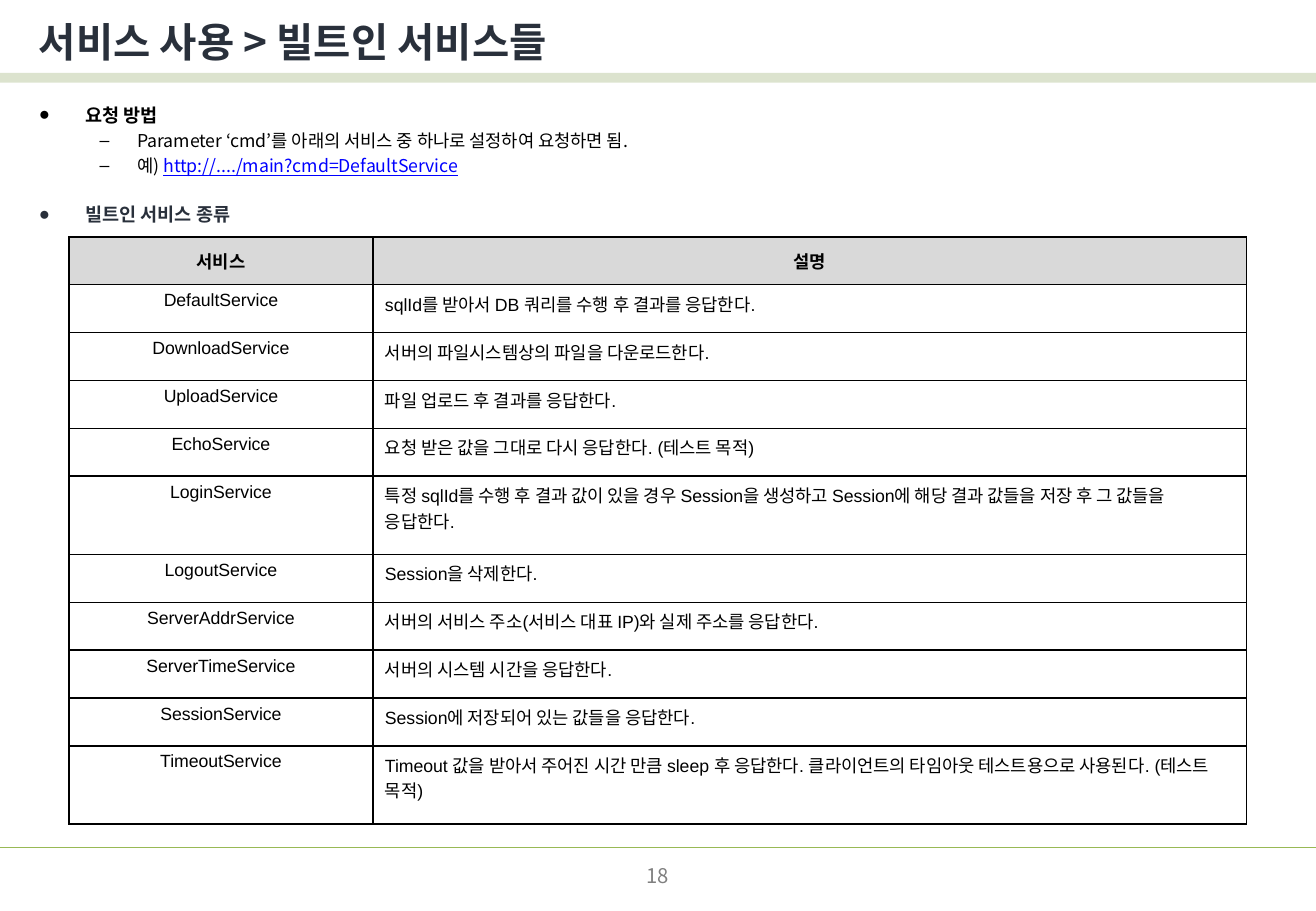
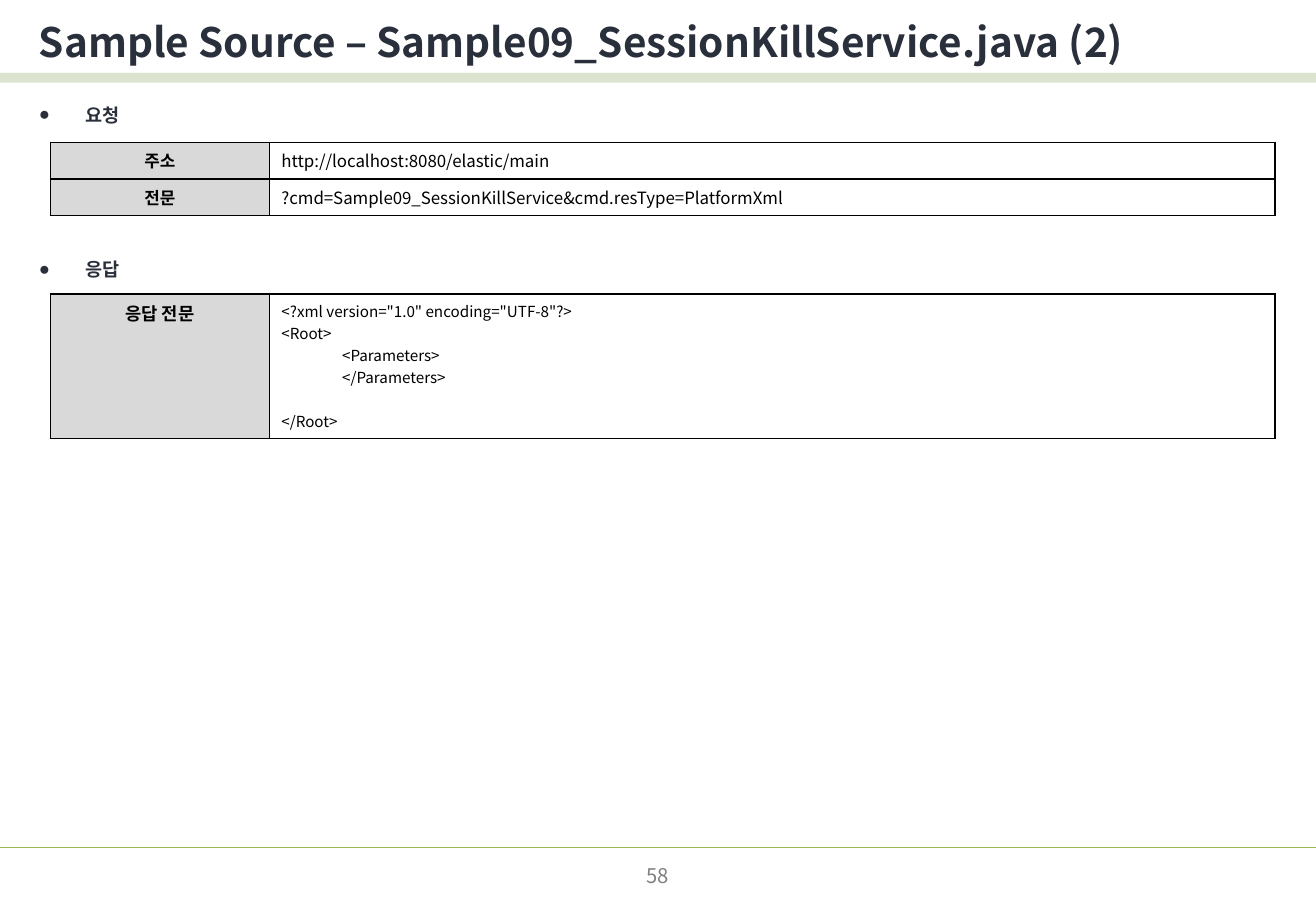
from lxml.etree import SubElement as Sub
from pptx import Presentation
from pptx.dml.color import RGBColor
from pptx.enum.shapes import MSO_CONNECTOR as Conn, MSO_SHAPE as Kind
from pptx.enum.text import MSO_ANCHOR as Anchor, MSO_AUTO_SIZE as Auto, PP_ALIGN as Align
from pptx.oxml.ns import qn
from pptx.util import Pt

WIDE, HIGH = 780, 540
INK = dict(title="29303B", text="000000", link="0000FF", page="808080",
           band="77933C", rule="98B955", head="D9D9D9", cell="FFFFFF")
NOTO, ARIAL = "Noto Sans CJK KR", "Arial"
LINE = 14.8   # line pitch of the lists
CODE = 13     # line pitch of the code

TITLE = dict(size=24, bold=True, ink="title")
HEAD = dict(size=11, bold=True, ink="title")
ITEM = dict(size=10.5)
LINK = dict(size=10.5, ink="link", underline=True)
PAGE = dict(size=12, ink="page")

SERVICES = [
    ("DefaultService", "sqlId를 받아서 DB 쿼리를 수행 후 결과를 응답한다."),
    ("DownloadService", "서버의 파일시스템상의 파일을 다운로드한다."),
    ("UploadService", "파일 업로드 후 결과를 응답한다."),
    ("EchoService", "요청 받은 값을 그대로 다시 응답한다. (테스트 목적)"),
    ("LoginService", "특정 sqlId를 수행 후 결과 값이 있을 경우 Session을 생성하고 "
                     "Session에 해당 결과 값들을 저장 후 그 값들을 응답한다."),
    ("LogoutService", "Session을 삭제한다."),
    ("ServerAddrService", "서버의 서비스 주소(서비스 대표 IP)와 실제 주소를 응답한다."),
    ("ServerTimeService", "서버의 시스템 시간을 응답한다."),
    ("SessionService", "Session에 저장되어 있는 값들을 응답한다."),
    ("TimeoutService", "Timeout 값을 받아서 주어진 시간 만큼 sleep 후 응답한다. "
                       "클라이언트의 타임아웃 테스트용으로 사용된다. (테스트 목적)"),
]
TALL = {"LoginService", "TimeoutService"}
REQUEST = [("주소", "http://localhost:8080/elastic/main"),
           ("전문", "?cmd=Sample09_SessionKillService&cmd.resType=PlatformXml")]
REPLY = ['<?xml version="1.0" encoding="UTF-8"?>', "<Root>",
         "\t<Parameters>", "\t</Parameters>", "</Root>"]


def rgb(name):
    return RGBColor.from_string(INK[name])


def write(para, text, size, face=NOTO, ink="text", **look):
    """Add a run to the paragraph in the given format."""
    run = para.add_run()
    run.text = text
    look = dict(bold=False, name=face, size=Pt(size)) | look
    for key, val in look.items():
        setattr(run.font, key, val)
    run.font.color.rgb = rgb(ink)
    Sub(run._r.get_or_add_rPr(), qn("a:ea"), typeface=NOTO)


def place(shape, box):
    for key, val in zip(("left", "top", "width", "height"), box):
        setattr(shape, key, Pt(val))


def fit(frame, anchor):
    look = dict(word_wrap=True, auto_size=Auto.NONE, vertical_anchor=anchor)
    for key, val in look.items():
        setattr(frame, key, val)
    return frame


def frame(deck, title, page):
    """Start a slide with its title, band, rule and page number."""
    slide = deck.slides.add_slide(deck.slide_layouts[1])
    shapes = slide.shapes

    band = shapes.add_shape(Kind.RECTANGLE, 0, Pt(43.2), Pt(WIDE), Pt(5.76))
    band.shadow.inherit = False
    band.fill.solid()
    band.fill.fore_color.rgb = rgb("band")
    tint = band._element.spPr.find(".//" + qn("a:srgbClr"))
    Sub(tint, qn("a:alpha"), val="25000")
    band.line.fill.background()

    rule = shapes.add_connector(Conn.STRAIGHT, 0, Pt(502.5), Pt(WIDE), Pt(502.5))
    rule.line.color.rgb = rgb("rule")
    rule.line.width = Pt(0.75)
    Sub(rule._element.spPr, qn("a:effectLst"))

    place(shapes.title, (15.84, 5.76, 763.92, 37.44))
    para = fit(shapes.title.text_frame, Anchor.MIDDLE).paragraphs[0]
    para.alignment = Align.LEFT
    write(para, title, **TITLE)

    foot = shapes.add_textbox(0, 0, 0, 0)
    place(foot, ((WIDE - 182) / 2, 508.3, 182, 20.9))
    para = fit(foot.text_frame, Anchor.MIDDLE).paragraphs[0]
    para.alignment = Align.CENTER
    write(para, page, **PAGE)
    return slide


def outline(slide, box, items):
    """Fill the body with items of level, gap before and formatted runs."""
    body = slide.placeholders[1]
    place(body, box)
    text = fit(body.text_frame, Anchor.TOP)
    for at, (level, gap, runs) in enumerate(items):
        para = text.add_paragraph() if at else text.paragraphs[0]
        look = dict(level=level, alignment=Align.LEFT,
                    space_before=Pt(gap), line_spacing=Pt(LINE))
        for key, val in look.items():
            setattr(para, key, val)
        left, hang, mark = ((27.36, 27.36, "●"), (58.32, 22.32, "–"))[level]
        props = para._p.get_or_add_pPr()
        props.set("marL", str(Pt(left)))
        props.set("indent", str(-Pt(hang)))
        Sub(props, qn("a:buChar"), char=mark)
        for words, look in runs:
            write(para, words, **look)


def cell_fill(cell, lines, fill, align=Align.LEFT, anchor=Anchor.TOP, gaps=(), **look):
    """Write lines in a bordered cell; gaps maps a line to its space before."""
    props = cell._tc.get_or_add_tcPr()
    for side in "LRTB":
        edge = Sub(props, qn("a:ln" + side), w=str(Pt(1)))
        Sub(Sub(edge, qn("a:solidFill")), qn("a:srgbClr"), val=INK["text"])
    cell.fill.solid()
    cell.fill.fore_color.rgb = rgb(fill)
    cell.vertical_anchor = anchor
    for at, line in enumerate(lines):
        para = cell.text_frame.add_paragraph() if at else cell.text_frame.paragraphs[0]
        para.alignment = align
        if at in gaps:
            para.space_before = Pt(gaps[at])
        write(para, line, **look)


def grid(slide, left, top, cols, rows):
    """Add a plain table with the given column widths and row heights."""
    table = slide.shapes.add_table(len(rows), len(cols), Pt(left), Pt(top),
                                   Pt(sum(cols)), Pt(sum(rows))).table
    table.first_row = table.horz_banding = False
    for col, wide in zip(table.columns, cols):
        col.width = Pt(wide)
    for row, high in zip(table.rows, rows):
        row.height = Pt(high)
    return table


def services(slide, left, top):
    rows = [28.4] + [46.4 if name in TALL else 28.4 for name, _ in SERVICES]
    table = grid(slide, left, top, (180, 517.7), rows)
    for at, word in enumerate(("서비스", "설명")):
        cell_fill(table.cell(0, at), [word], "head", Align.CENTER, Anchor.MIDDLE,
                  size=10.5, bold=True)
    for at, (name, about) in enumerate(SERVICES, 1):
        cell_fill(table.cell(at, 0), [name], "cell", Align.CENTER, size=10.5, face=ARIAL)
        cell_fill(table.cell(at, 1), [about], "cell", size=10.5, face=ARIAL)


def message(slide, left, top, rows, high, label, size, gaps=()):
    """Table of shaded labels, each beside its lines of text."""
    table = grid(slide, left, top, (129.6, 596.2), [high] * len(rows))
    for at, (name, lines) in enumerate(rows):
        cell_fill(table.cell(at, 0), [name], "head", Align.CENTER,
                  size=label, face=ARIAL, bold=True)
        cell_fill(table.cell(at, 1), lines, "cell", size=size, gaps=gaps)


def builtin(deck):
    slide = frame(deck, "서비스 사용 > 빌트인 서비스들", "18")
    outline(slide, (15.84, 56.16, 763.92, 84.24), [
        (0, 0, [("요청 방법", HEAD | dict(ink="text"))]),
        (1, 0, [("Parameter ‘cmd’를 아래의 서비스 중 하나로 설정하여 요청하면 됨.", ITEM)]),
        (1, 0, [("예) ", ITEM), ("http://..../main?cmd=DefaultService", LINK)]),
        (0, LINE, [("빌트인 서비스 종류", HEAD)]),
    ])
    services(slide, 41, 140.4)


def sample(deck):
    slide = frame(deck, "Sample Source – Sample09_SessionKillService.java (2)", "58")
    outline(slide, (15.84, 56.16, 763.92, 115), [
        (0, 0, [("요청", HEAD)]),
        (0, 76.5, [("응답", HEAD)]),
    ])
    message(slide, 30, 84.3, [(name, [text]) for name, text in REQUEST], 21.7, 10, 10)
    message(slide, 30, 174.2, [("응답 전문", REPLY)], 85.5, 10.5, 9,
            {len(REPLY) - 1: CODE})


def main():
    deck = Presentation()
    deck.slide_width, deck.slide_height = Pt(WIDE), Pt(HIGH)
    builtin(deck)
    sample(deck)
    deck.save("out.pptx")


if __name__ == "__main__":
    main()
